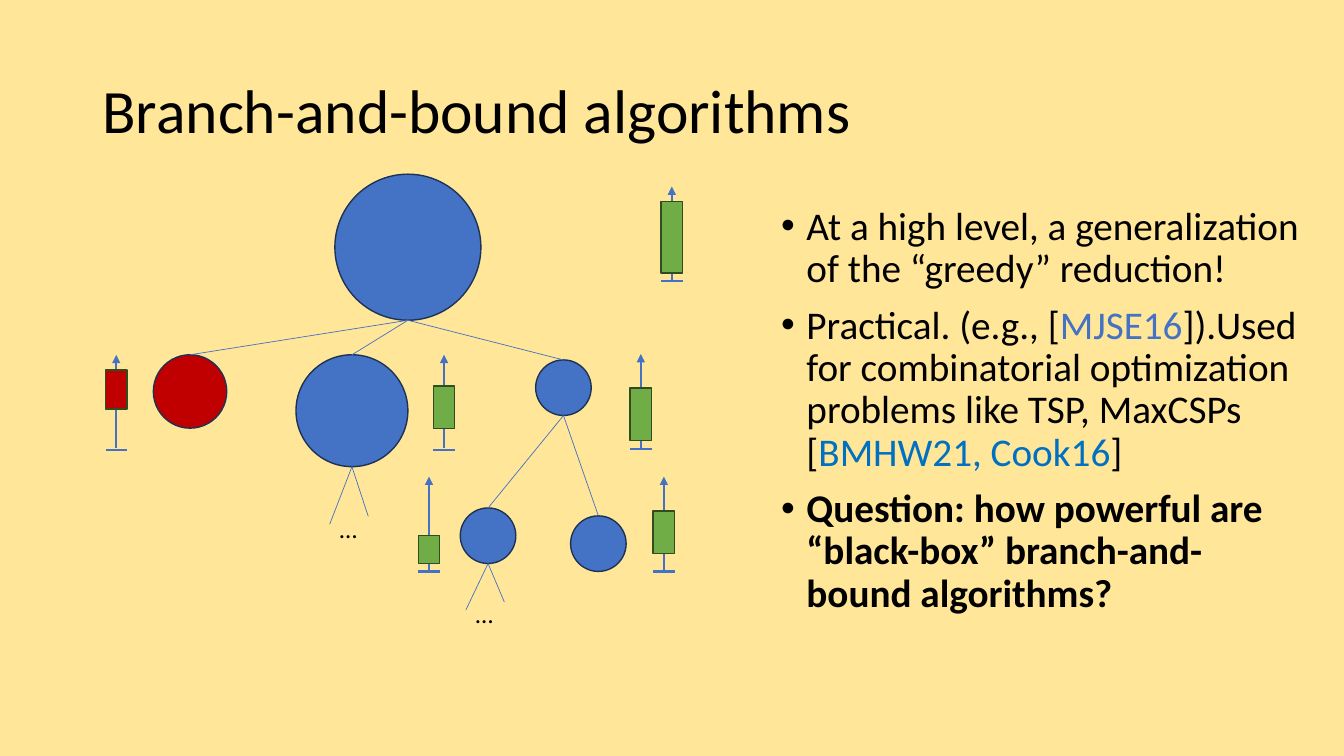
from lxml.etree import SubElement
from pptx import Presentation
from pptx.dml.color import RGBColor
from pptx.enum.shapes import MSO_CONNECTOR, MSO_SHAPE
from pptx.enum.text import MSO_ANCHOR, MSO_AUTO_SIZE, PP_ALIGN
from pptx.oxml.ns import qn
from pptx.util import Cm, Pt

COLOURS = {
    "background": "FFE699",
    "text": "000000",
    "blue": "4472C4",
    "citation": "0070C0",
    "green": "70AD47",
    "red": "C00000",
    "node outline": "1E3256",
    "bar outline": "314C1F",
}

NODES = {
    "root": (10.28, 4.39, 3.68, "blue"),
    "pruned": (4.79, 8.94, 1.85, "red"),
    "middle": (8.87, 8.94, 2.82, "blue"),
    "right": (14.2, 9.07, 1.4, "blue"),
    "left leaf": (12.3, 12.8, 1.4, "blue"),
    "right leaf": (15.08, 13.0, 1.4, "blue"),
}

EDGES = [
    ("root", "middle"),
    ("root", "right"),
    ("root", "pruned"),
    ("right", "left leaf"),
    ("right", "right leaf"),
]

CONTINUATIONS = [("left leaf", 1.17), ("middle", 1.45)]

GAUGES = [
    (2.93, 8.94, 9.32, 0.99, "red"),
    (16.93, 4.7, 5.08, 1.8, "green"),
    (16.15, 8.92, 9.78, 1.32, "green"),
    (11.19, 8.94, 9.73, 1.07, "green"),
    (10.81, 12.01, 13.49, 0.71, "green"),
    (16.73, 12.01, 12.88, 1.07, "green"),
]

BULLETS = [
    [("At a high level, a generalization of the “greedy” reduction!", "text", False)],
    [
        ("Practical. (e.g., [", "text", False),
        ("MJSE16", "blue", False),
        ("]).Used for combinatorial optimization problems like TSP, MaxCSPs ", "text", False),
        ("\n", "text", False),
        ("[", "text", False),
        ("BMHW21, Cook16", "citation", False),
        ("]", "text", False),
    ],
    [("Question: how powerful are “black-box” branch-and-bound algorithms?", "text", True)],
]


class SlideBuilder:
    """Draw styled elements on one slide, with lengths in centimetres."""

    font_name = "Calibri"

    def __init__(self, presentation):
        """Add a title-and-content slide with a coloured background."""
        self.slide = presentation.slides.add_slide(presentation.slide_layouts[1])
        fill = self.slide.background.fill
        fill.solid()
        fill.fore_color.rgb = self.colour("background")

    def colour(self, name):
        """Return the named colour."""
        return RGBColor.from_string(COLOURS[name])

    def format_run(self, run, size, colour="text", bold=False):
        """Set the font of a run."""
        run.font.name = self.font_name
        run.font.size = Pt(size)
        run.font.bold = bold
        run.font.color.rgb = self.colour(colour)

    def place(self, shape, left, top, width, height):
        """Move and size a placeholder."""
        shape.left, shape.top = Cm(left), Cm(top)
        shape.width, shape.height = Cm(width), Cm(height)
        shape.text_frame.auto_size = MSO_AUTO_SIZE.NONE

    def title(self, text, *box):
        """Fill the title placeholder."""
        shape = self.slide.shapes.title
        self.place(shape, *box)
        shape.text_frame.text = text
        shape.text_frame.vertical_anchor = MSO_ANCHOR.MIDDLE
        paragraph = shape.text_frame.paragraphs[0]
        paragraph.alignment = PP_ALIGN.LEFT
        paragraph.line_spacing = 0.9
        self.format_run(paragraph.runs[0], 44)

    def bullets(self, items, *box):
        """Fill the body placeholder with a bulleted list."""
        shape = self.slide.placeholders[1]
        self.place(shape, *box)
        frame = shape.text_frame
        for index, segments in enumerate(items):
            paragraph = frame.add_paragraph() if index else frame.paragraphs[0]
            paragraph.line_spacing = 0.9
            paragraph.space_before = Pt(10)
            properties = paragraph._p.get_or_add_pPr()
            properties.set("marL", str(Cm(0.64)))
            properties.set("indent", str(-Cm(0.64)))
            SubElement(properties, qn("a:buFont"), typeface="Arial")
            SubElement(properties, qn("a:buChar"), char="•")
            for text, colour, bold in segments:
                if text == "\n":
                    paragraph.add_line_break()
                    continue
                run = paragraph.add_run()
                run.text = text
                self.format_run(run, 28, colour, bold)

    def label(self, text, left, top):
        """Add a small text label."""
        box = self.slide.shapes.add_textbox(Cm(left), Cm(top), Cm(1.55), Cm(1.02))
        box.text_frame.word_wrap = True
        box.text_frame.text = text
        self.format_run(box.text_frame.paragraphs[0].runs[0], 18)

    def shape(self, kind, left, top, width, height, fill, outline):
        """Add a filled and outlined preset shape."""
        shape = self.slide.shapes.add_shape(kind, Cm(left), Cm(top), Cm(width), Cm(height))
        shape.shadow.inherit = False
        shape.fill.solid()
        shape.fill.fore_color.rgb = self.colour(fill)
        shape.line.color.rgb = self.colour(outline)
        shape.line.width = Pt(1)

    def line(self, start, end, width=0.5, arrow=False):
        """Add a straight line, with an arrowhead at its end if wanted."""
        points = [Cm(value) for value in (*start, *end)]
        connector = self.slide.shapes.add_connector(MSO_CONNECTOR.STRAIGHT, *points)
        connector.line.color.rgb = self.colour("blue")
        connector.line.width = Pt(width)
        properties = connector.element.spPr
        if arrow:
            SubElement(properties.find(qn("a:ln")), qn("a:tailEnd"), type="triangle")
        SubElement(properties, qn("a:effectLst"))

    def node(self, centre, top, diameter, fill):
        """Add a circular tree node."""
        left = centre - diameter / 2
        self.shape(MSO_SHAPE.OVAL, left, top, diameter, diameter, fill, "node outline")

    def edge(self, parent, child):
        """Join the bottom of a parent node to the top of a child node."""
        self.line(self.bottom(parent), NODES[child][:2])

    def bottom(self, name):
        """Return the lowest point of a node."""
        centre, top, diameter, _ = NODES[name]
        return centre, top + diameter

    def continuation(self, name, depth):
        """Add two open branches and an ellipsis below a node."""
        x, y = self.bottom(name)
        self.line((x, y), (x - 0.56, y + depth))
        self.line((x, y), (x + 0.41, y + depth - 0.2))
        self.label("…", x - 0.56, y + depth - 0.41)

    def gauge(self, centre, top, bar_top, bar_height, fill):
        """Add a vertical axis with a base and an interval bar."""
        width, base = 0.54, top + 2.39
        left = centre - width / 2
        self.line((centre, base - 0.03), (centre, top), 1.75, arrow=True)
        self.line((left, base), (left + width, base), 1.5)
        self.shape(MSO_SHAPE.RECTANGLE, left, bar_top, width, bar_height, fill, "bar outline")


def main():
    """Build and save the presentation."""
    presentation = Presentation()
    presentation.slide_width = Cm(33.87)
    presentation.slide_height = Cm(19.05)
    builder = SlideBuilder(presentation)
    builder.title("Branch-and-bound algorithms", 2.33, 1.01, 29.21, 3.68)
    builder.bullets(BULLETS, 19.43, 5.08, 13.56, 12.95)
    for node in NODES.values():
        builder.node(*node)
    for parent, child in EDGES:
        builder.edge(parent, child)
    for gauge in GAUGES:
        builder.gauge(*gauge)
    for name, depth in CONTINUATIONS:
        builder.continuation(name, depth)
    presentation.save("out.pptx")


if __name__ == "__main__":
    main()
